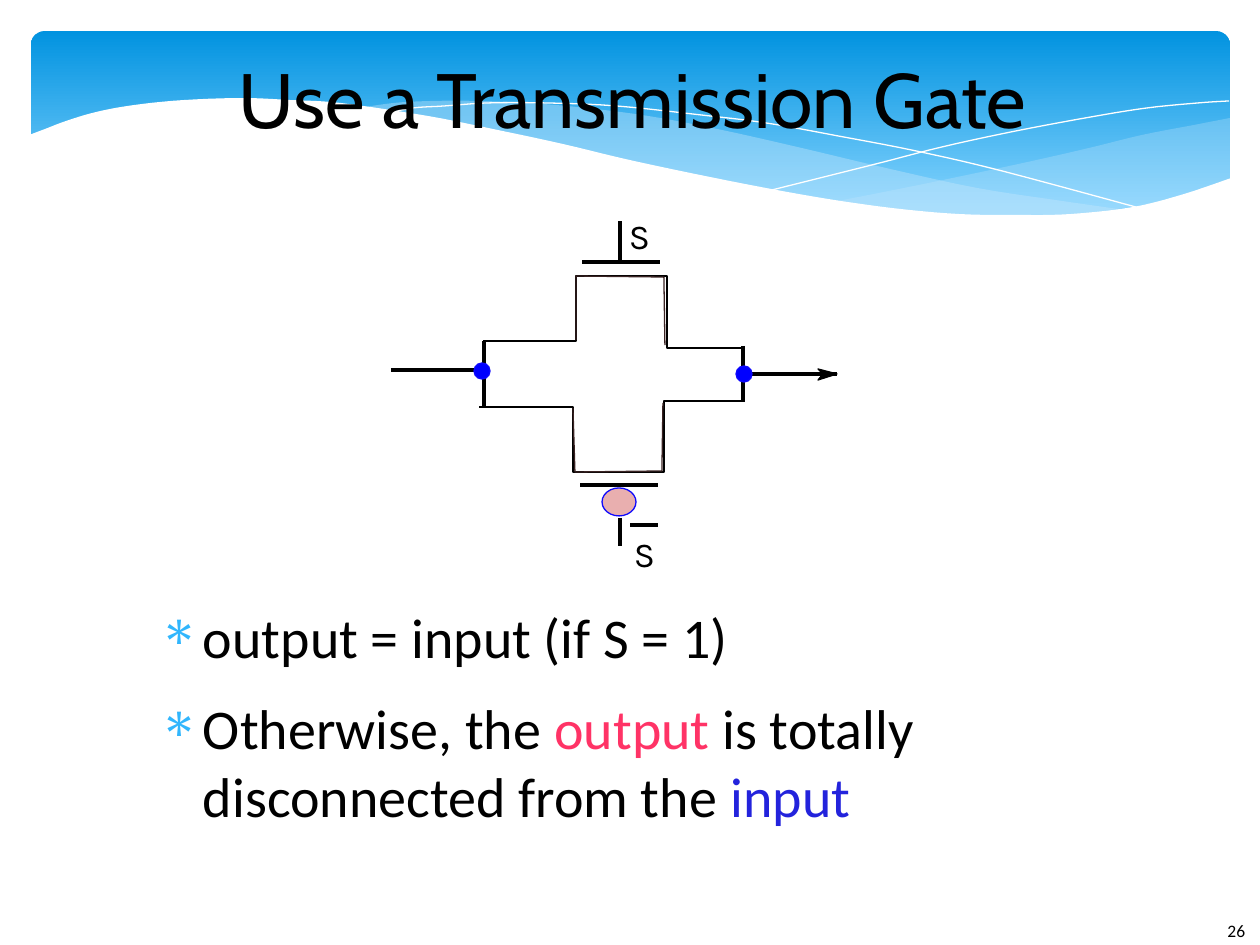
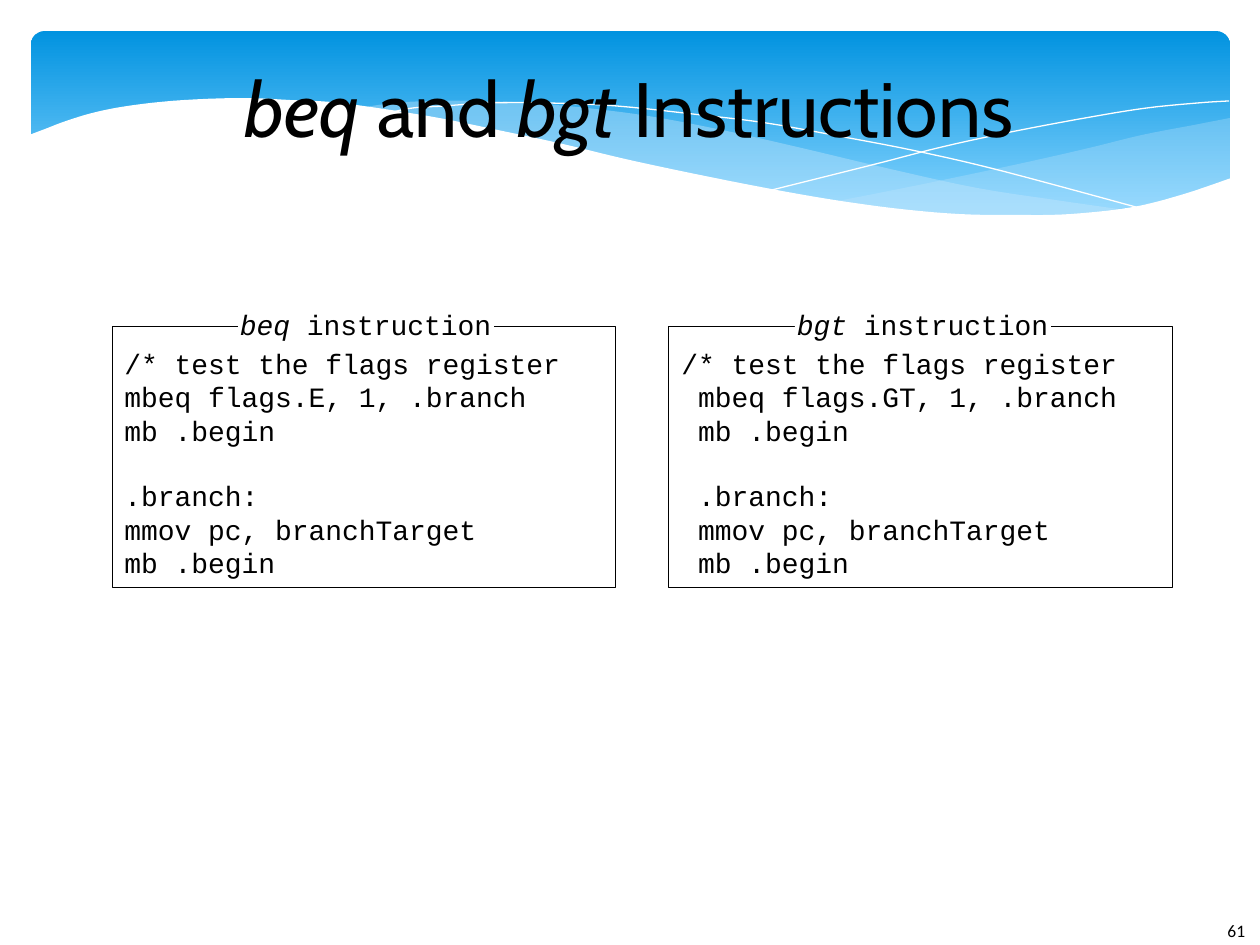
import pptx
import pptx.dml.color
import pptx.enum.shapes
import pptx.enum.text
import pptx.oxml
import pptx.oxml.ns
import pptx.util

SCALE = 914400 / 126
KIND = pptx.enum.shapes.MSO_SHAPE
ALIGN = pptx.enum.text.PP_ALIGN
FIT = pptx.enum.text.MSO_AUTO_SIZE
MIDDLE = pptx.enum.text.MSO_ANCHOR.MIDDLE

BLACK, WHITE, BLUE, EDGE = "000000", "FFFFFF", "0000FF", "0E08FD"
PINK, ROSE, NAVY, BROWN = "E9AFAF", "FF3366", "2323DC", "3A2323"
SKY, DEEP, PALE, STAR = "83D3FE", "0293E0", "C6E7FC", "31B6FD"

TITLE = {"name": "Cabin", "size": pptx.util.Pt(44)}
BODY = {"name": "Calibri", "size": pptx.util.Pt(32)}
PAGE = {"name": "Calibri", "size": pptx.util.Pt(10)}
LABEL = {"name": "Karla", "size": pptx.util.Pt(20)}
CODE = {"name": "Courier New", "size": pptx.util.Pt(16)}
SLANT = {"italic": True}
BARE = {"margin_left": 0, "margin_top": 0, "margin_right": 0, "margin_bottom": 0}

RIGHT_TOP = [(1230, 118), (1194, 125), (1142, 135), (1085, 149), (1014, 165),
             (919, 185), (833, 202)]
RIGHT_LOW = [(833, 202), (888, 208), (939, 213), (998, 217), (1052, 217),
             (1110, 210), (1160, 202), (1196, 192), (1230, 178)]
MID_TOP = [(1125, 210), (1055, 200), (977, 188), (890, 169), (793, 146),
           (717, 129), (648, 116), (586, 108), (529, 103), (479, 101),
           (433, 101), (394, 103), (360, 108)]
MID_LOW = [(360, 108), (407, 113), (456, 122), (509, 134), (566, 146),
           (668, 170), (757, 189), (838, 203), (910, 212), (974, 217),
           (1031, 218), (1080, 215), (1125, 210)]
FALL = [(389, 113), (413, 108), (445, 106), (488, 103), (546, 103), (616, 106),
        (701, 115), (766, 123), (838, 136), (916, 151), (1002, 171), (1143, 209)]
RISE = [(772, 190), (876, 164), (942, 147), (1016, 131), (1091, 117),
        (1147, 108), (1198, 103), (1229, 101)]
FRONT = [(1231, 178), (1184, 194), (1133, 207), (1071, 214), (1019, 215),
         (959, 214), (892, 208), (816, 197), (730, 181), (634, 161), (563, 144),
         (493, 129), (428, 116), (341, 103), (290, 100), (243, 98), (184, 100),
         (134, 105), (96, 112), (66, 121), (45, 129), (29, 135)]

TEST = "/* test the flags register"
TAIL = ["mb .begin", ".branch:", "mmov pc, branchTarget", "mb .begin"]


def px(size):
    """Turn px into EMU."""
    return round(size * SCALE)


def color(code):
    """Make a colour from a hex string."""
    return pptx.dml.color.RGBColor.from_string(code)


def apply(target, form):
    """Set attributes from a dict."""
    for key, value in form.items():
        setattr(target, key, value)


def place(shape, *box):
    """Move a shape to a box in px."""
    apply(shape, dict(zip(("left", "top", "width", "height"), map(px, box))))


def fade(shape, share):
    """Give a solid fill an opacity in percent."""
    tint = shape.element.find(".//" + pptx.oxml.ns.qn("a:srgbClr"))
    tint.append(tint.makeelement(pptx.oxml.ns.qn("a:alpha"), {"val": str(share * 1000)}))


def paint(shape, fill=None, line=None, width=0):
    """Set the fill and outline and drop the shadow."""
    shape.shadow.inherit = False
    if fill:
        shape.fill.solid()
        shape.fill.fore_color.rgb = color(fill)
    else:
        shape.fill.background()
    if line:
        shape.line.color.rgb = color(line)
        shape.line.width = pptx.util.Pt(width)
    else:
        shape.line.fill.background()
    return shape


def block(slide, kind, box, **look):
    """Add a preset shape."""
    return paint(slide.shapes.add_shape(kind, *map(px, box)), **look)


def outline(slide, points, close=False, **look):
    """Add a freeform through the points."""
    spots = [(px(x), px(y)) for x, y in points]
    build = slide.shapes.build_freeform(*spots[0])
    build.add_line_segments(spots[1:], close=close)
    return paint(build.convert_to_shape(), **look)


def wire(slide, *ends):
    """Add a thin straight line."""
    link = slide.shapes.add_connector(
        pptx.enum.shapes.MSO_CONNECTOR.STRAIGHT, *map(px, ends))
    link.line.color.rgb = color(BLACK)
    link.line.width = 0
    props = link.element.spPr
    props.append(props.makeelement(pptx.oxml.ns.qn("a:effectLst"), {}))


def smooth(keys, steps=5):
    """Return the points of a smooth curve through the keys."""
    ends = [keys[0], *keys, keys[-1]]
    points = []
    for a, b, c, d in zip(ends, ends[1:], ends[2:], ends[3:]):
        for step in range(steps):
            t = step / steps
            points.append(tuple(
                q + t / 2 * (r - p + t * (2 * p - 5 * q + 4 * r - s
                                          + t * (3 * (q - r) + s - p)))
                for p, q, r, s in zip(a, b, c, d)))
    return points + [keys[-1]]


def write(para, runs, form):
    """Fill a paragraph with runs of text, format and colour."""
    for text, extra, code in runs:
        run = para.add_run()
        run.text = text
        apply(run.font, {**form, **extra})
        run.font.color.rgb = color(code)


def plain(text):
    """Return one black run."""
    return [(text, {}, BLACK)]


def fill_frame(frame, paras, form, **look):
    """Write paragraphs into a text frame."""
    apply(frame, {"auto_size": FIT.NONE, "word_wrap": True, **look})
    for i, runs in enumerate(paras):
        write(frame.add_paragraph() if i else frame.paragraphs[0], runs, form)
    return frame.paragraphs


def text_box(slide, box, paras, form, **look):
    """Add a text box."""
    frame = slide.shapes.add_textbox(*map(px, box)).text_frame
    return fill_frame(frame, paras, form, **look)


def head(slide, left, top, runs, page):
    """Fill the title and the page number."""
    place(slide.shapes.title, left, top, 1022, 129)
    para, = fill_frame(slide.shapes.title.text_frame, [runs], TITLE,
                       vertical_anchor=MIDDLE, **BARE)
    para.alignment = ALIGN.CENTER
    text_box(slide, (1215, 914, 45, 31), [plain(page)], PAGE, word_wrap=False)


def star(para):
    """Give a paragraph a hanging star bullet."""
    apply(para, {"space_before": 0, "space_after": pptx.util.Pt(14.1)})
    props = para._p.get_or_add_pPr()
    props.set("marL", str(px(59)))
    props.set("indent", str(px(-44)))
    space = pptx.oxml.ns.nsdecls("a")
    for part in (f'<a:buClr {space}><a:srgbClr val="{STAR}"/></a:buClr>',
                 f'<a:buFont {space} typeface="Symbol"/>',
                 f'<a:buChar {space} char="∗"/>'):
        props.append(pptx.oxml.parse_xml(part))


def banner(slide, master):
    """Draw the wave banner and move it to the master."""
    band = block(slide, KIND.ROUNDED_RECTANGLE, (31, 31, 1199, 197))
    band.adjustments[0] = 0.07
    band.fill.gradient()
    band.fill.gradient_angle = 270
    for stop, code, spot in zip(band.fill.gradient_stops, (DEEP, SKY), (0, 0.9)):
        stop.color.rgb = color(code)
        stop.position = spot
    waves = [outline(slide, smooth(top) + smooth(low), True, fill=PALE)
             for top, low in ((RIGHT_TOP, RIGHT_LOW), (MID_TOP, MID_LOW))]
    for wave, share in zip(waves, (29, 40)):
        fade(wave, share)
    lines = [outline(slide, smooth(keys), line=WHITE) for keys in (FALL, RISE)]
    front = outline(slide, smooth(FRONT) + [(29, 282), (1231, 282)], True, fill=WHITE)
    for i, shape in enumerate([band, *waves, *lines, front]):
        shape.element.nvSpPr.cNvPr.set("id", str(50 + i))
        master.shapes.element.insert(2 + i, shape.element)


def gate(slide):
    """Draw the transmission gate."""
    for points, code in (
            ([(742, 348), (667, 348), (667, 276), (576, 276), (576, 341), (483, 341)], BLACK),
            ([(745, 401), (664, 401), (664, 472), (573, 472), (573, 407), (479, 407)], BLACK),
            ([(576, 340), (576, 276), (664, 277), (665, 345)], BROWN),
            ([(573, 408), (575, 472), (662, 471), (663, 403)], BROWN)):
        outline(slide, points, line=code)
    for ends in ((743, 346, 743, 402), (745, 374, 837, 374), (484, 341, 484, 408),
                 (660, 262, 582, 262), (658, 485, 580, 485), (620, 260, 620, 221),
                 (620, 518, 620, 546), (630, 525, 658, 525), (391, 370, 483, 370)):
        wire(slide, *ends)
    outline(slide, [(823, 374), (818, 380), (837, 374), (818, 369)], True,
            fill=BLACK, line=BLACK)
    for box, code in (((602, 488, 34, 28), PINK), ((474, 363, 16, 16), BLUE),
                      ((736, 366, 16, 16), BLUE)):
        block(slide, KIND.OVAL, box, fill=code, line=EDGE)
    for left, top in ((629, 214), (634, 532)):
        text_box(slide, (left, top, 39, 47), [plain("S")], LABEL,
                 word_wrap=False, **BARE)


def panel(slide, left, name, lines):
    """Draw a framed code panel with its name on the top edge."""
    block(slide, KIND.RECTANGLE, (left, 326, 504, 262), line=BLACK, width=0.5)
    block(slide, KIND.RECTANGLE, (left + 126, 325, 256, 6), fill=WHITE)
    runs = [(name + " ", SLANT, BLACK), ("instruction", {}, BLACK)]
    para, = text_box(slide, (left + 113, 301, 281, 47), [runs], CODE, word_wrap=False)
    para.alignment = ALIGN.CENTER
    paras = text_box(slide, (left, 340, 504, 251), [plain(line) for line in lines], CODE)
    paras[3].space_before = pptx.util.Pt(18.1)


def gate_slide(slide):
    """Fill the transmission gate slide."""
    head(slide, 122, 33, plain("Use a Transmission Gate"), "26")
    body = slide.placeholders[1]
    place(body, 144, 602, 1077, 239)
    points = [plain("output = input (if S = 1)"),
              [("Otherwise, the ", {}, BLACK), ("output ", {}, ROSE),
               ("is totally disconnected from the ", {}, BLACK), ("input", {}, NAVY)]]
    for para in fill_frame(body.text_frame, points, BODY, **BARE):
        star(para)
    gate(slide)


def code_slide(slide):
    """Fill the branch code slide."""
    runs = [("beq", SLANT, BLACK), (" and ", {}, BLACK),
            ("bgt", SLANT, BLACK), (" Instructions", {}, BLACK)]
    head(slide, 118, 42, runs, "61")
    for left, name, flag, lead in ((112, "beq", "E", ""), (669, "bgt", "GT", " ")):
        steps = [f"mbeq flags.{flag}, 1, .branch", *TAIL]
        panel(slide, left, name, [TEST, *(lead + step for step in steps)])


def main():
    """Build and save the deck."""
    deck = pptx.Presentation()
    apply(deck, {"slide_width": px(1260), "slide_height": px(945)})
    first, second = (deck.slides.add_slide(deck.slide_layouts[i]) for i in (1, 5))
    banner(first, deck.slide_master)
    gate_slide(first)
    code_slide(second)
    deck.save("out.pptx")


if __name__ == "__main__":
    main()
